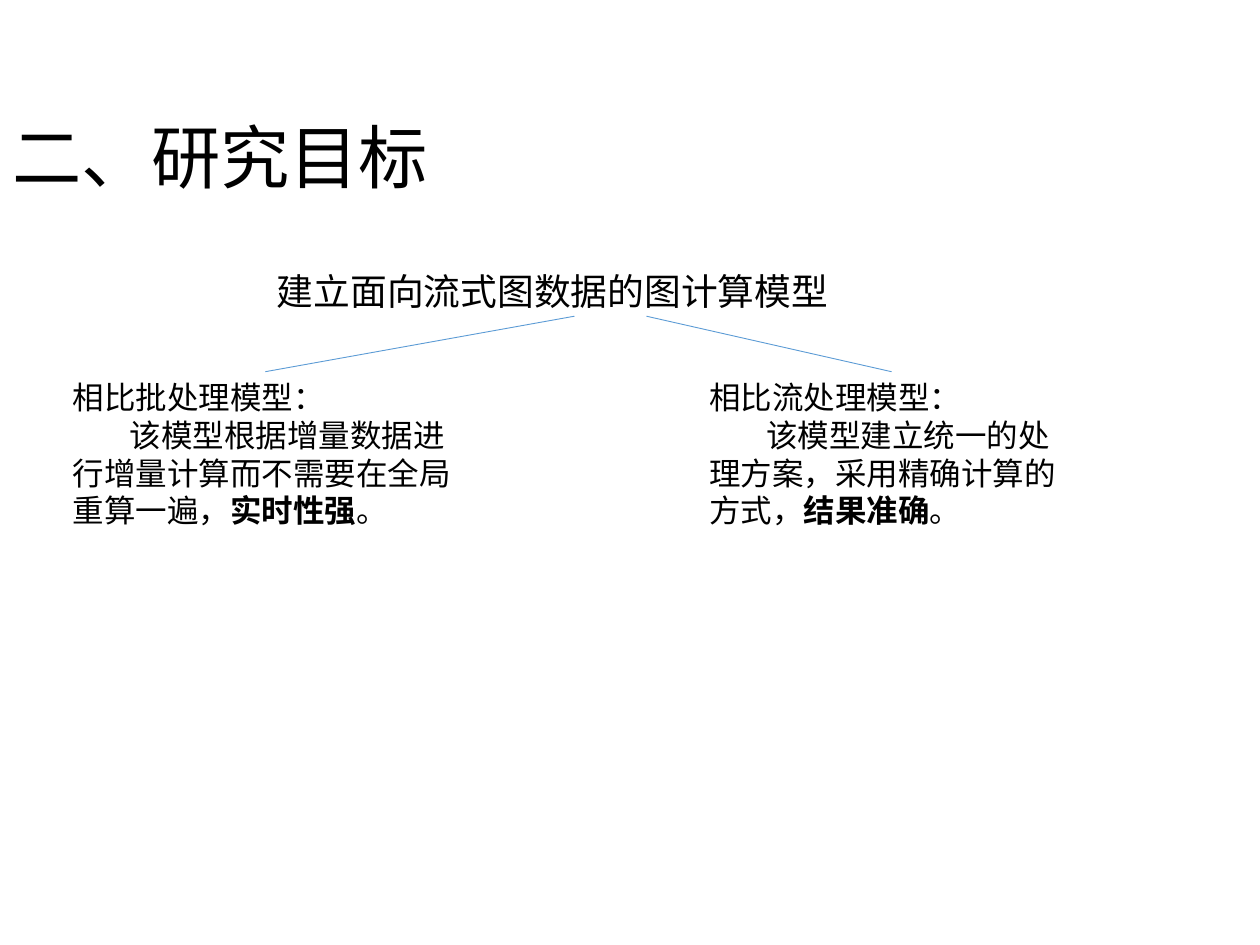
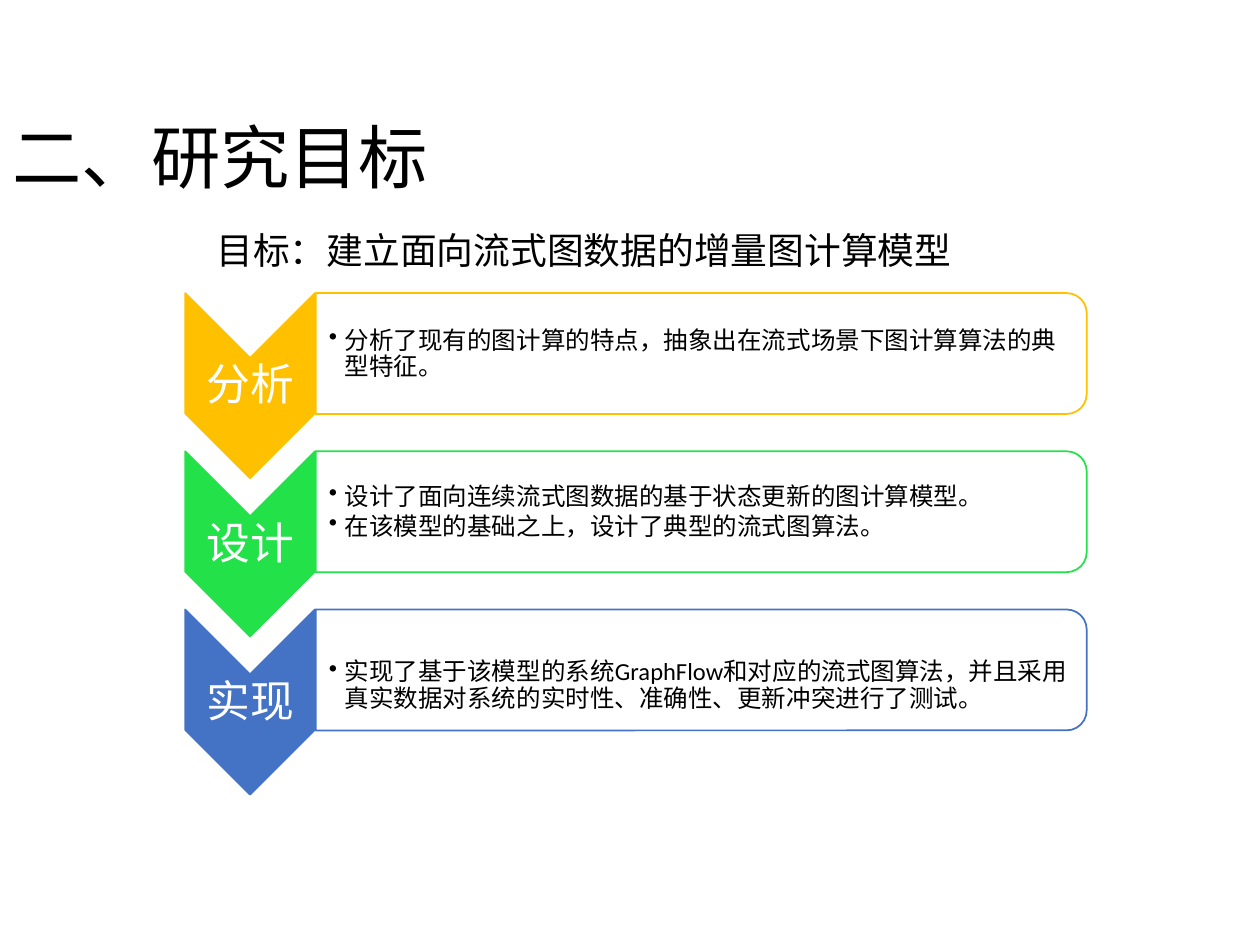
from pptx import Presentation
from pptx.dml.color import RGBColor
from pptx.enum.shapes import MSO_CONNECTOR, MSO_SHAPE
from pptx.enum.text import MSO_ANCHOR, MSO_AUTO_SIZE, PP_ALIGN
from pptx.oxml.ns import qn
from pptx.util import Pt
from lxml.etree import SubElement

FONT = "Calibri"
BLACK, WHITE, BLUE = "000000", "FFFFFF", "5B9BD5"
TITLE = "二、研究目标"

STEPS = [
    ("分析", "FFC000", 0,
     ["分析了现有的图计算的特点，抽象出在流式场景下图计算算法的典型特征。"]),
    ("设计", "23E148", 0,
     ["设计了面向连续流式图数据的基于状态更新的图计算模型。",
      "在该模型的基础之上，设计了典型的流式图算法。"]),
    ("实现", "4472C4", 17.5,
     ["实现了基于该模型的系统GraphFlow和对应的流式图算法，"
      "并且采用真实数据对系统的实时性、准确性、更新冲突进行了测试。"]),
]
STEP_TOP, STEP_GAP = 171.5, 90.4


def paint(fmt, color):
    fmt.solid()
    fmt.fore_color.rgb = RGBColor.from_string(color)


def indent(para, left, first, bullet=None):
    """Set the left and first-line indents, with a bullet if given."""
    props = para._p.get_or_add_pPr()
    props.set("marL", str(Pt(left)))
    props.set("indent", str(Pt(first)))
    if bullet:
        SubElement(props, qn("a:buChar")).set("char", bullet)


def add_text(slide, box, paras, size, color=BLACK, align=PP_ALIGN.LEFT,
             anchor=MSO_ANCHOR.TOP, inset=(7.2, 3.6, 7.2, 3.6), line=None,
             after=0, bullet=None, grow=False):
    """Add a text box; each paragraph is a list of (text, bold) runs or a string."""
    shape = slide.shapes.add_textbox(*map(Pt, box))
    frame = shape.text_frame
    frame.word_wrap = True
    frame.vertical_anchor = anchor
    frame.auto_size = MSO_AUTO_SIZE.SHAPE_TO_FIT_TEXT if grow else MSO_AUTO_SIZE.NONE
    (frame.margin_left, frame.margin_top,
     frame.margin_right, frame.margin_bottom) = map(Pt, inset)
    for i, runs in enumerate(paras):
        para = frame.add_paragraph() if i else frame.paragraphs[0]
        if bullet:
            indent(para, 9, -9, bullet)
        para.alignment = align
        para.space_after = Pt(after)
        if line:
            para.line_spacing = line
        for text, bold in [(runs, False)] if isinstance(runs, str) else runs:
            run = para.add_run()
            run.text = text
            run.font.name = FONT
            run.font.size = Pt(size)
            run.font.bold = bold
            paint(run.font.fill, color)
    return shape


def add_turned(slide, kind, box, fill, line):
    """Add a preset shape turned by 90 degrees so that it covers the box."""
    left, top, width, height = box
    shift = (width - height) / 2
    shape = slide.shapes.add_shape(
        kind, Pt(left + shift), Pt(top - shift), Pt(height), Pt(width))
    shape.rotation = 90
    shape.shadow.inherit = False
    paint(shape.fill, fill)
    paint(shape.line.fill, line)
    shape.line.width = Pt(1)
    return shape


def add_branch(slide, x, y, target):
    """Draw a line from a point to the top of the target box."""
    link = slide.shapes.add_connector(
        MSO_CONNECTOR.STRAIGHT, Pt(x), Pt(y), Pt(x), Pt(y))
    link.end_connect(target, 0)
    paint(link.line.fill, BLUE)
    link.line.width = Pt(0.5)
    SubElement(link._element.spPr, qn("a:effectLst"))


def add_page(deck):
    slide = deck.slides.add_slide(deck.slide_layouts[6])
    add_text(slide, (0, 66.2, 620.6, 51.1), [TITLE], 39.6,
             anchor=MSO_ANCHOR.MIDDLE, line=0.9)
    return slide


def add_claim(slide, left, width, start, head, body, point):
    """Add a comparison with its stressed point, and the line leading to it."""
    box = add_text(slide, (left, 212.4, width, 94.3),
                   [head, [(body, False), (point, True), ("。", False)]],
                   18, grow=True)
    indent(box.text_frame.paragraphs[1], 0, 32.5)
    add_branch(slide, start, 180.7, box)


def add_step(slide, top, label, color, lead, points):
    """Add a chevron with its label and the panel of points beside it."""
    add_turned(slide, MSO_SHAPE.CHEVRON, (105.8, top - 4, 74.2, 105.8), color, color)
    add_text(slide, (105.8, top + 33.7, 74.2, 31.7), [label], 25, WHITE,
             PP_ALIGN.CENTER, MSO_ANCHOR.MIDDLE, (1.4,) * 4, 0.9)
    panel = add_turned(slide, MSO_SHAPE.ROUND_2_SAME_RECTANGLE,
                       (180.4, top - 4, 440.6, 69.1), WHITE, color)
    tone = panel.fill._xPr.find(qn("a:solidFill"))[0]
    SubElement(tone, qn("a:alpha")).set("val", "90000")
    add_text(slide, (180, top, 437, 62), points, 14, anchor=MSO_ANCHOR.MIDDLE,
             inset=(8, 0.7 + lead, 0.7, 0.7), line=0.9, after=2.1, bullet="•")


def main():
    deck = Presentation()
    deck.slide_width, deck.slide_height = Pt(720), Pt(540)

    goal = add_page(deck)
    add_text(goal, (151.2, 149.8, 424, 32.4),
             ["建立面向流式图数据的图计算模型"], 21, grow=True)
    add_claim(goal, 34.6, 234, 328.3, "相比批处理模型：",
              "该模型根据增量数据进行增量计算而不需要在全局重算一遍，", "实时性强")
    add_claim(goal, 398.2, 222.5, 369.4, "相比流处理模型：",
              "该模型建立统一的处理方案，采用精确计算的方式，", "结果准确")

    plan = add_page(deck)
    add_text(plan, (116.6, 126.7, 482.4, 32.4),
             ["目标：建立面向流式图数据的增量图计算模型"], 21, grow=True)
    for i, step in enumerate(STEPS):
        add_step(plan, STEP_TOP + i * STEP_GAP, *step)

    deck.save("out.pptx")


if __name__ == "__main__":
    main()
